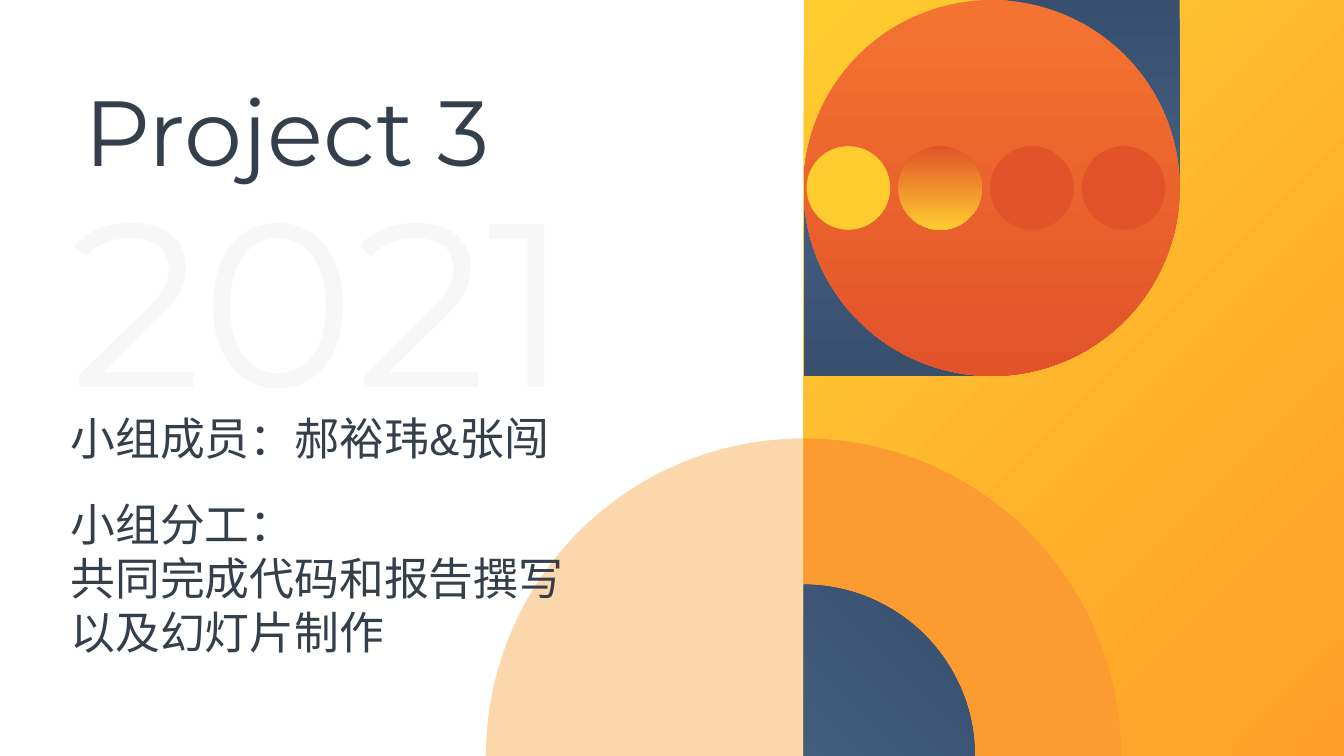
from pptx import Presentation
from pptx.dml.color import RGBColor
from pptx.enum.shapes import MSO_SHAPE
from pptx.enum.text import MSO_AUTO_SIZE
from pptx.oxml.ns import qn
from pptx.util import Inches, Pt
from lxml import etree

RECTANGLE = MSO_SHAPE.RECTANGLE
ELLIPSE = MSO_SHAPE.OVAL
TEARDROP = MSO_SHAPE.TEAR
PIE = MSO_SHAPE.PIE
GROW = MSO_AUTO_SIZE.SHAPE_TO_FIT_TEXT

INK = RGBColor(0x35, 0x3F, 0x4B)
YELLOW = RGBColor(0xFF, 0xCC, 0x30)
AMBER = RGBColor(0xFF, 0x9F, 0x2A)
ORANGE = RGBColor(0xFC, 0x9B, 0x30)
CORAL = RGBColor(0xF4, 0x73, 0x31)
RED = RGBColor(0xE2, 0x53, 0x29)
NAVY = RGBColor(0x38, 0x4F, 0x6E)
STEEL = RGBColor(0x4A, 0x6C, 0x90)


def set_opacity(fill_parent, percent):
    color = fill_parent.find(qn("a:solidFill")).find(qn("a:srgbClr"))
    etree.SubElement(color, qn("a:alpha")).set("val", str(percent * 1000))


def add_figure(slide, kind, left, top, width, height, colors, angle=90, opacity=None):
    shape = slide.shapes.add_shape(
        kind, Inches(left), Inches(top), Inches(width), Inches(height))
    shape.shadow.inherit = False
    shape.line.fill.background()
    if len(colors) == 1:
        shape.fill.solid()
        shape.fill.fore_color.rgb = colors[0]
    else:
        shape.fill.gradient()
        shape.fill.gradient_angle = 360 - angle
        for stop, color in zip(shape.fill.gradient_stops, colors):
            stop.color.rgb = color
    if opacity is not None:
        set_opacity(shape._element.spPr, opacity)
    return shape


def add_text(slide, text, left, top, width, height, size=32, font="Arial",
             wrap=True, opacity=None):
    box = slide.shapes.add_textbox(
        Inches(left), Inches(top), Inches(width), Inches(height))
    frame = box.text_frame
    frame.word_wrap = wrap
    frame.auto_size = GROW
    frame.text = text
    for paragraph in frame.paragraphs:
        for run in paragraph.runs:
            run.font.size = Pt(size)
            run.font.name = font
            run.font.color.rgb = INK
            if opacity is not None:
                set_opacity(run._r.rPr, opacity)


def add_quarter(slide, center, baseline, radius, colors, flip=True, opacity=None):
    quarter = add_figure(slide, PIE, center - radius, baseline - radius,
                         2 * radius, 2 * radius, colors, 45, opacity)
    quarter.adjustments[0] = 108
    quarter.adjustments[1] = 162
    if flip:
        quarter._element.spPr.find(qn("a:xfrm")).set("flipH", "1")


def add_arch(slide, center, baseline):
    add_quarter(slide, center, baseline, 3.15, [ORANGE])
    add_quarter(slide, center, baseline, 1.7, [NAVY, STEEL])
    add_quarter(slide, center, baseline, 3.15, [ORANGE], flip=False, opacity=40)


def add_badge(slide, left, top, size):
    drop = 3.22
    offset = size - drop
    add_figure(slide, TEARDROP, left + offset, top, drop, drop, [NAVY, STEEL])
    lower_drop = add_figure(
        slide, TEARDROP, left, top + offset, drop, drop, [NAVY, STEEL])
    lower_drop.rotation = 180
    add_figure(slide, ELLIPSE, left, top, size, size, [CORAL, RED])
    dot = 0.83
    for index, colors in enumerate([[YELLOW], [RED, YELLOW], [RED], [RED]]):
        add_figure(slide, ELLIPSE, left + 0.03 + 0.91 * index,
                   top + (size - dot) / 2, dot, dot, colors)


def add_art_panel(slide, left, top, width, height):
    add_figure(slide, RECTANGLE, left, top, width, height, [YELLOW, AMBER], 45)
    add_arch(slide, left, top + height)
    add_badge(slide, left, top, 3.73)


def add_title_block(slide, left, top):
    add_text(slide, "Project 3", left + 0.14, top, 4.79, 1.21,
             size=66, font="Montserrat", wrap=False)
    add_text(slide, "小组成员：郝裕玮&张闯", left, top + 3.34, 5.44, 0.64)
    add_text(slide, "小组分工：\n共同完成代码和报告撰写以及幻灯片制作",
             left, top + 4.19, 5.44, 1.72)


def main():
    presentation = Presentation()
    presentation.slide_width = Inches(13.33)
    presentation.slide_height = Inches(7.5)
    slide = presentation.slides.add_slide(presentation.slide_layouts[6])
    add_text(slide, "2021", 0.6, 1.49, 6.41, 2.89,
             size=166, font="Montserrat", wrap=False, opacity=4)
    add_art_panel(slide, 7.97, 0, 5.36, 7.5)
    add_title_block(slide, 0.6, 0.69)
    presentation.save("out.pptx")


if __name__ == "__main__":
    main()
